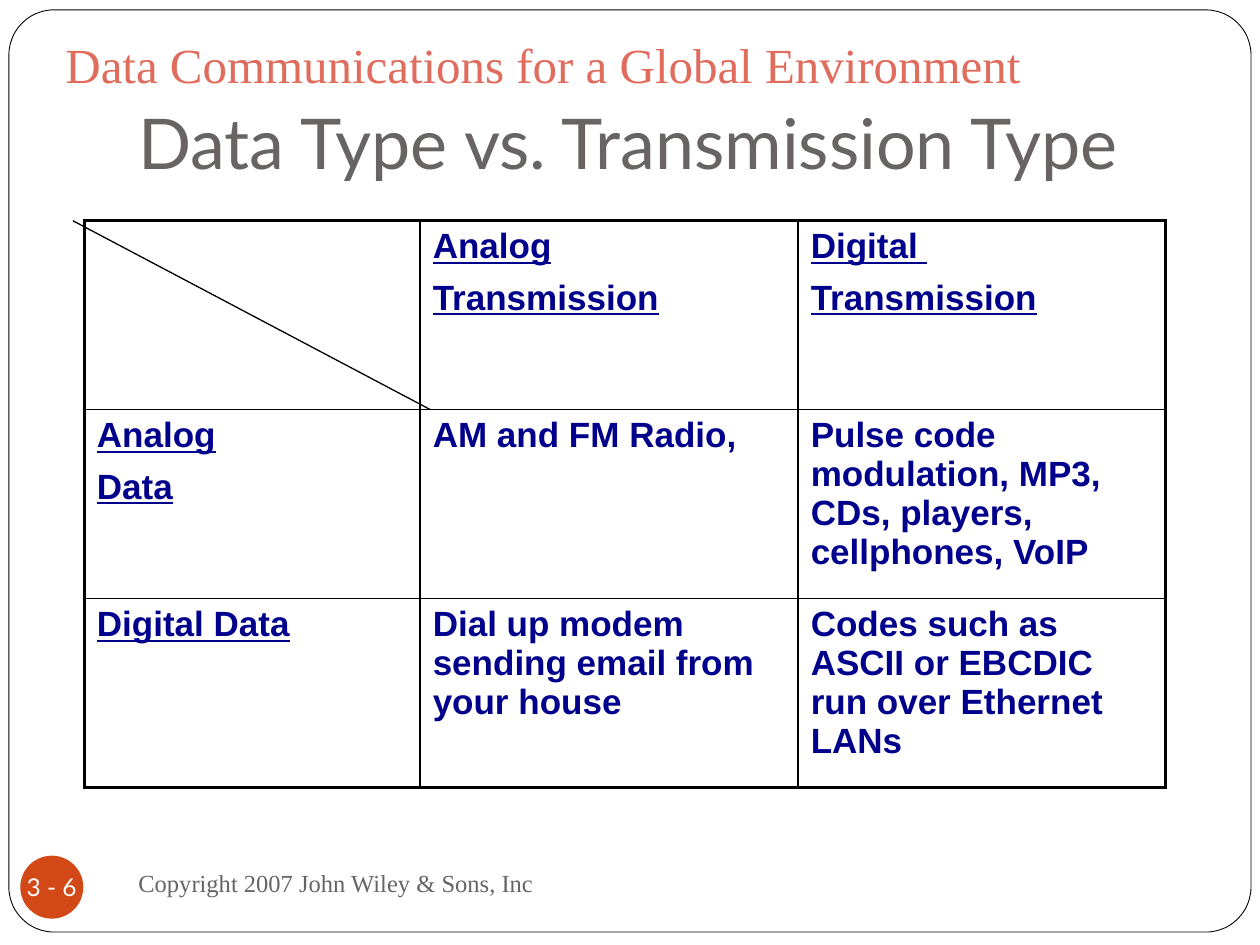
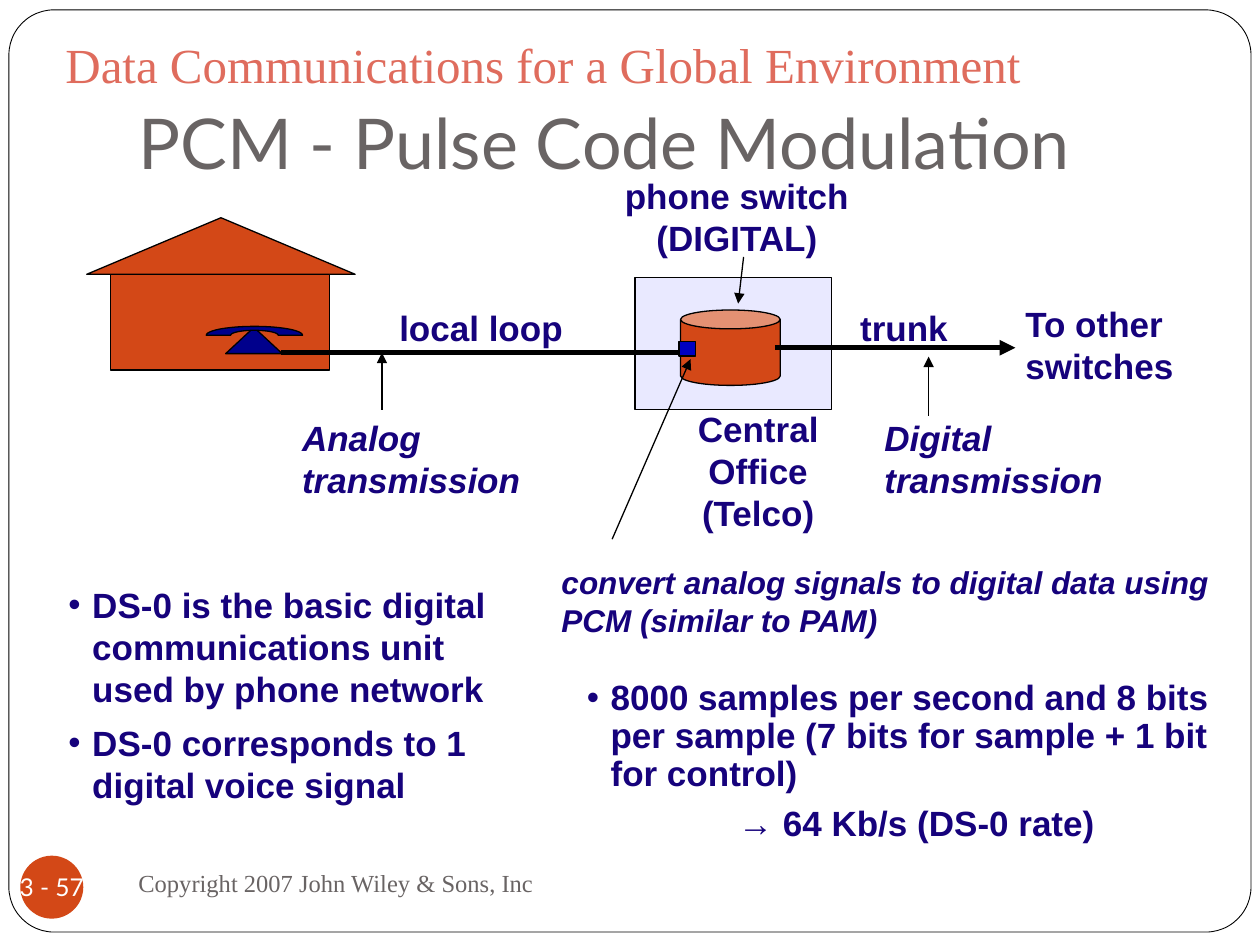
from math import cos, pi, sin

from lxml import etree
from pptx import Presentation
from pptx.dml.color import RGBColor
from pptx.enum.shapes import MSO_CONNECTOR, MSO_SHAPE
from pptx.enum.text import MSO_ANCHOR, PP_ALIGN
from pptx.oxml.ns import qn
from pptx.util import Cm, Pt

BLACK = RGBColor(0x00, 0x00, 0x00)
WHITE = RGBColor(0xFF, 0xFF, 0xFF)
GRAY = RGBColor(0x69, 0x64, 0x64)
CORAL = RGBColor(0xDF, 0x6C, 0x5D)
ORANGE = RGBColor(0xD3, 0x48, 0x17)
NAVY = RGBColor(0x00, 0x00, 0x8C)
INDIGO = RGBColor(0x16, 0x02, 0x7C)
BLUE = RGBColor(0x00, 0x00, 0xC2)
LAVENDER = RGBColor(0xE9, 0xE9, 0xFF)

HEADING_FONT, SERIF, SANS = "Lato", "Times New Roman", "Arial"
BODY_SIZE = 20
SPACE_BEFORE, SPACE_AFTER = Pt(4), Pt(3)

TRANSMISSION_ROWS = [
    [[], ["Analog", "Transmission"], ["Digital ", "Transmission"]],
    [["Analog", "Data"], ["AM and FM Radio,"],
     ["Pulse code modulation, MP3, CDs, players, cellphones, VoIP"]],
    [["Digital Data"], ["Dial up modem sending email from your house"],
     ["Codes such as ASCII or EBCDIC run over Ethernet LANs"]],
]


def add_run(paragraph, text, font_name, size, color, bold=False, italic=False, underline=False):
    run = paragraph.add_run()
    run.text = text
    font = run.font
    font.name, font.size = font_name, Pt(size)
    font.color.rgb = color
    font.bold, font.italic, font.underline = bold, italic, underline


def paragraph_at(frame, index):
    return frame.paragraphs[0] if index == 0 else frame.add_paragraph()


def space_paragraph(paragraph, index):
    if index:
        paragraph.space_before = SPACE_BEFORE
    paragraph.space_after = SPACE_AFTER


def add_frame(slide, box, anchor=MSO_ANCHOR.TOP, wrap=True):
    frame = slide.shapes.add_textbox(*map(Cm, box)).text_frame
    frame.word_wrap = wrap
    frame.vertical_anchor = anchor
    return frame


def style_shape(shape, fill, line_width=0.75):
    shape.shadow.inherit = False
    shape.fill.solid()
    shape.fill.fore_color.rgb = fill
    if line_width:
        shape.line.color.rgb = BLACK
        shape.line.width = Pt(line_width)
    else:
        shape.line.fill.background()
    return shape


def add_preset(slide, preset, box, fill, line_width=0.75):
    return style_shape(slide.shapes.add_shape(preset, *map(Cm, box)), fill, line_width)


def add_line(slide, start, end, width=0.75, arrow=False):
    line = slide.shapes.add_connector(MSO_CONNECTOR.STRAIGHT, *map(Cm, (*start, *end)))
    line.line.color.rgb = BLACK
    line.line.width = Pt(width)
    if arrow:
        etree.SubElement(line.line._get_or_add_ln(), qn("a:tailEnd"), type="triangle")
    etree.SubElement(line._element.spPr, qn("a:effectLst"))


def add_heading(slide, box, text, font_name, size, color):
    frame = add_frame(slide, box, MSO_ANCHOR.BOTTOM)
    frame.margin_bottom = Cm(0.25)
    add_run(frame.paragraphs[0], text, font_name, size, color)


def add_page_frame(slide):
    border = add_preset(slide, MSO_SHAPE.ROUNDED_RECTANGLE, (0.18, 0.2, 25.04, 18.59), WHITE, 0.5)
    border.adjustments[0] = 0.049


def add_footer(slide, left, top, number):
    badge = add_preset(slide, MSO_SHAPE.OVAL, (left, top + 0.1, 1.27, 1.27), ORANGE, None)
    frame = badge.text_frame
    frame.word_wrap = False
    frame.vertical_anchor = MSO_ANCHOR.MIDDLE
    frame.margin_left = frame.margin_right = frame.margin_top = frame.margin_bottom = 0
    frame.paragraphs[0].alignment = PP_ALIGN.CENTER
    add_run(frame.paragraphs[0], number, HEADING_FONT, 14, WHITE)

    notice = add_frame(slide, (left + 2.13, top, 11, 1.27), MSO_ANCHOR.MIDDLE)
    add_run(notice.paragraphs[0], "Copyright 2007 John Wiley & Sons, Inc", SERIF, 14, GRAY)


def new_slide(presentation, title, number):
    """Add a slide with the shared frame, headings and footer."""
    slide = presentation.slides.add_slide(presentation.slide_layouts[6])
    add_page_frame(slide)
    add_footer(slide, 0.41, 17.15, number)
    add_heading(slide, (2.54, 0.76, 21.59, 3.18), title, HEADING_FONT, 40, GRAY)
    add_heading(slide, (1.07, 0.43, 22.86, 1.7),
                "Data Communications for a Global Environment", SERIF, 28, CORAL)
    return slide


def set_borders(cell, widths):
    """Draw the left, right, top and bottom borders, widths in points."""
    properties = cell._tc.get_or_add_tcPr()
    for position, (side, width) in enumerate(zip("LRTB", widths)):
        border = etree.Element(qn(f"a:ln{side}"), w=str(Pt(width)))
        fill = etree.SubElement(border, qn("a:solidFill"))
        etree.SubElement(fill, qn("a:srgbClr"), val=str(BLACK))
        properties.insert(position, border)


def add_transmission_table(slide, left, top, column_widths, row_height):
    rows, columns = len(TRANSMISSION_ROWS), len(column_widths)
    table = slide.shapes.add_table(rows, columns, Cm(left), Cm(top), Cm(sum(column_widths)),
                                   Cm(row_height * rows)).table
    for column, width in zip(table.columns, column_widths):
        column.width = Cm(width)
    for r, row in enumerate(TRANSMISSION_ROWS):
        table.rows[r].height = Cm(row_height)
        for c, lines in enumerate(row):
            cell = table.cell(r, c)
            cell.fill.background()
            outer_sides = (c == 0, c == columns - 1, r == 0, r == rows - 1)
            set_borders(cell, [2.25 if outer else 1 for outer in outer_sides])
            for i, text in enumerate(lines):
                paragraph = paragraph_at(cell.text_frame, i)
                space_paragraph(paragraph, i)
                add_run(paragraph, text, SANS, BODY_SIZE, NAVY, bold=True,
                        underline=r == 0 or c == 0)
    add_line(slide, (left - 0.23, top), (left + column_widths[0] + 0.21, top + row_height))


def add_label(slide, box, lines, size=BODY_SIZE, centered=False, italic=False, wrap=True):
    frame = add_frame(slide, box, wrap=wrap)
    for i, text in enumerate(lines):
        paragraph = paragraph_at(frame, i)
        if centered:
            paragraph.alignment = PP_ALIGN.CENTER
        add_run(paragraph, text, SANS, size, INDIGO, bold=True, italic=italic)


def add_handset(slide, center_x, base_y):
    """Draw a half ring whose ends rest on base_y."""
    def arc(radius_x, radius_y):
        angles = [pi * step / 24 for step in range(25)]
        return [(Cm(center_x + radius_x * cos(a)), Cm(base_y - radius_y * sin(a)))
                for a in angles]

    outline = arc(0.97, 0.18) + arc(0.48, 0.1)[::-1]
    builder = slide.shapes.build_freeform(*outline[0])
    builder.add_line_segments(outline[1:], close=True)
    style_shape(builder.convert_to_shape(), NAVY)


def add_house(slide, left, top):
    add_preset(slide, MSO_SHAPE.ISOSCELES_TRIANGLE, (left, top, 5.41, 1.14), ORANGE)
    add_preset(slide, MSO_SHAPE.RECTANGLE, (left + 0.48, top + 1.14, 4.42, 1.93), ORANGE)
    add_preset(slide, MSO_SHAPE.ISOSCELES_TRIANGLE, (left + 2.8, top + 2.21, 1.14, 0.53), NAVY)
    add_handset(slide, left + 3.38, top + 2.37)


def add_phone_network(slide, left, top):
    def at(x, y, *size):
        return (left + x, top + y, *size)

    add_house(slide, *at(0, 0.99))
    add_preset(slide, MSO_SHAPE.RECTANGLE, at(11.05, 2.19, 3.96, 2.67), LAVENDER)
    add_preset(slide, MSO_SHAPE.CAN, at(11.97, 2.85, 2.01, 1.52), ORANGE)

    add_line(slide, at(3.91, 3.71), at(12.07, 3.71), width=3)
    add_line(slide, at(13.87, 3.61), at(18.72, 3.61), width=3, arrow=True)
    add_preset(slide, MSO_SHAPE.RECTANGLE, at(11.94, 3.48, 0.33, 0.3), BLUE)

    pointers = [
        ((13.24, 1.78), (13.13, 2.72)),
        ((5.95, 4.86), (5.95, 3.71)),
        ((16.97, 4.98), (16.97, 3.79)),
        ((10.59, 7.47), (12.17, 3.84)),
    ]
    for start, end in pointers:
        add_line(slide, at(*start), at(*end), arrow=True)

    add_label(slide, at(6.05, 2.65, 3.81, 1.09), ["local loop"], wrap=False)
    add_label(slide, at(15.34, 2.65, 2.29, 1.09), ["trunk"], wrap=False)
    add_label(slide, at(10.59, 0, 5.03, 1.96), ["phone switch", "(DIGITAL)"],
              centered=True, wrap=False)
    add_label(slide, at(11.48, 4.68, 4.11, 2.79), ["Central Office", "(Telco)"], centered=True)
    add_label(slide, at(18.67, 2.57, 3.73, 1.96), ["To other switches"])
    add_label(slide, at(4.09, 4.88, 6.43, 1.96), ["Analog transmission"], italic=True)
    add_label(slide, at(15.83, 4.88, 6.43, 1.96), ["Digital transmission"], italic=True)
    add_label(slide, at(9.32, 7.83, 13.97, 1.78),
              ["convert analog signals to digital data using PCM (similar to PAM)"],
              size=18, italic=True)


def add_points(slide, box, points, line_spacing=None):
    """Add paragraphs given as (text, left margin in cm, bulleted)."""
    frame = add_frame(slide, box)
    for i, (text, margin, bulleted) in enumerate(points):
        paragraph = paragraph_at(frame, i)
        properties = paragraph._p.get_or_add_pPr()
        properties.set("marL", str(Cm(margin)))
        properties.set("indent", str(Cm(-0.48) if bulleted else 0))
        if bulleted:
            etree.SubElement(properties, qn("a:buFont"), typeface=SANS)
            etree.SubElement(properties, qn("a:buChar"), char="•")
        space_paragraph(paragraph, i)
        if line_spacing:
            paragraph.line_spacing = line_spacing
        add_run(paragraph, text, SANS, BODY_SIZE, INDIGO, bold=True)


def add_transmission_slide(presentation):
    slide = new_slide(presentation, "Data Type vs. Transmission Type", "3 - 6")
    add_transmission_table(slide, 1.7, 4.45, (6.77, 7.62, 7.41), 3.81)


def add_pcm_slide(presentation):
    slide = new_slide(presentation, "PCM - Pulse Code Modulation", "3 - 57")
    add_phone_network(slide, 1.75, 3.4)
    add_points(slide, (11.58, 13.59, 13.44, 3.61), [
        ("8000 samples per second and 8 bits per sample (7 bits for sample + 1 bit for control)",
         0.48, True),
        ("→ 64 Kb/s (DS-0 rate)", 3.05, False),
    ], line_spacing=0.9)
    add_points(slide, (0.64, 11.63, 9.53, 4.78), [
        ("DS-0 is the basic digital communications unit used by phone network", 0.97, True),
        ("DS-0 corresponds to 1 digital voice signal", 0.97, True),
    ])


def main():
    presentation = Presentation()
    presentation.slide_width, presentation.slide_height = Cm(25.4), Cm(19.05)
    add_transmission_slide(presentation)
    add_pcm_slide(presentation)
    presentation.save("out.pptx")


if __name__ == "__main__":
    main()
